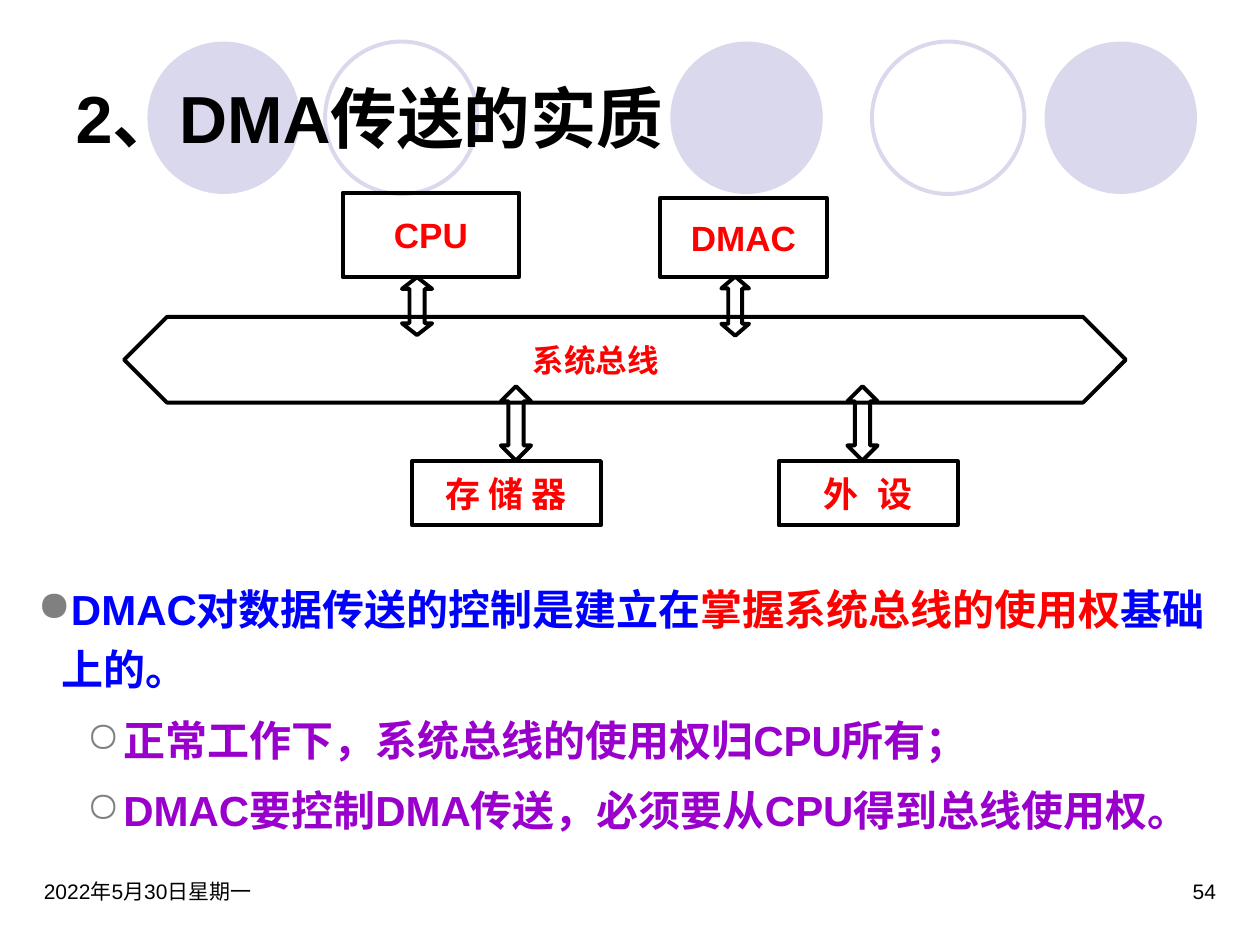
from lxml import etree
from pptx import Presentation
from pptx.dml.color import RGBColor
from pptx.enum.shapes import MSO_SHAPE as SHAPE
from pptx.enum.text import MSO_ANCHOR as ANCHOR, MSO_AUTO_SIZE as AUTO, PP_ALIGN as ALIGN
from pptx.oxml.ns import qn
from pptx.util import Inches, Pt

COLORS = {
    "black": "000000", "red": "FF0000", "blue": "0000FF",
    "purple": "9900CC", "lilac": "D9D8EC", "gray": "808080",
}


def rgb(name):
    return RGBColor.from_string(COLORS[name])


class Diagram:
    """Holds the shared style and the slide being drawn."""
    font = "Arial"
    line_width = Pt(2.25)

    def __init__(self, slide):
        self.s = slide

    def add_run(self, p, text, size, color, bold=True):
        r = p.add_run()
        r.text = text
        style = {"name": self.font, "size": Pt(size), "bold": bold}
        for key, value in style.items():
            setattr(r.font, key, value)
        r.font.color.rgb = rgb(color)
        return r

    def shape(self, kind, box, line="black", fill=None):
        sp = self.s.shapes.add_shape(kind, *map(Inches, box))
        sp.shadow.inherit = False
        if fill:
            sp.fill.solid()
            sp.fill.fore_color.rgb = rgb(fill)
        else:
            sp.fill.background()
        if line:
            sp.line.color.rgb = rgb(line)
            sp.line.width = self.line_width
        else:
            sp.line.fill.background()
        return sp

    def circle(self, left, filled):
        style = {"line": None, "fill": "lilac"} if filled else {"line": "lilac"}
        self.shape(SHAPE.OVAL, (left, 0.33, 1.21, 1.21), **style)

    def unit(self, text, box, tracking=0):
        """Adds a labelled box; tracking is in hundredths of a point."""
        tf = self.shape(SHAPE.RECTANGLE, box).text_frame
        tf.word_wrap = False
        tf.vertical_anchor = ANCHOR.MIDDLE
        p = tf.paragraphs[0]
        p.alignment = ALIGN.CENTER
        r = self.add_run(p, text, 20, "red")
        if tracking:
            r.font._element.set("spc", str(tracking))

    def arrow(self, kind, box, head):
        """Adds a double arrow turned a quarter; head is its length ratio."""
        sp = self.shape(kind, box)
        sp.rotation = 90
        sp.adjustments[0] = 0.5
        sp.adjustments[1] = head

    def title(self, text, box):
        sp = self.s.shapes.title
        sp.left, sp.top, sp.width, sp.height = map(Inches, box)
        tf = sp.text_frame
        tf.auto_size = AUTO.NONE
        tf.vertical_anchor = ANCHOR.MIDDLE
        p = tf.paragraphs[0]
        p.alignment = ALIGN.LEFT
        self.add_run(p, text, 38, "black")
        # Bring the title in front of the circles
        sp.element.getparent().append(sp.element)

    def textbox(self, box):
        tf = self.s.shapes.add_textbox(*map(Inches, box)).text_frame
        tf.word_wrap = True
        return tf

    def label(self, text, box, size, color, bold=False, align=ALIGN.LEFT):
        p = self.textbox(box).paragraphs[0]
        p.alignment = align
        self.add_run(p, text, size, color, bold)

    def bullets(self, items, box):
        """Each item is (level, runs), a run being (text, colour)."""
        marks = [("●", 0.19, 0.19), ("○", 0.68, 0.29)]
        tf = self.textbox(box)
        for i, (level, runs) in enumerate(items):
            p = tf.paragraphs[0] if i == 0 else tf.add_paragraph()
            mark, margin, hang = marks[level]
            pPr = p._p.get_or_add_pPr()
            pPr.set("marL", str(Inches(margin)))
            pPr.set("indent", str(-Inches(hang)))
            color = etree.SubElement(pPr, qn("a:buClr"))
            etree.SubElement(color, qn("a:srgbClr"), val=COLORS["gray"])
            etree.SubElement(pPr, qn("a:buChar"), char=mark)
            spacing = {"level": level, "line_spacing": 1.2,
                       "space_before": Pt(2.8 if i else 0), "space_after": Pt(2.8)}
            for key, value in spacing.items():
                setattr(p, key, value)
            for text, name in runs:
                self.add_run(p, text, 24, name)


def main():
    prs = Presentation()
    prs.slide_width, prs.slide_height = Inches(10), Inches(7.5)
    d = Diagram(prs.slides.add_slide(prs.slide_layouts[5]))

    for left, filled in [(5.32, True), (8.29, True), (1.17, True),
                         (6.92, False), (2.58, False)]:
        d.circle(left, filled)
    d.label("2022年5月30日星期一", (0.25, 6.92, 2.33, 0.5), 12, "black")
    d.label("54", (7.42, 6.92, 2.33, 0.5), 12, "black", align=ALIGN.RIGHT)
    d.title("2、DMA传送的实质", (0.5, 0.3, 9, 1.25))

    d.bullets([
        (0, [("DMAC对数据传送的控制是建立在", "blue"),
             ("掌握系统总线的使用权", "red"), ("基础上的。", "blue")]),
        (1, [("正常工作下，系统总线的使用权归CPU所有；", "purple")]),
        (1, [("DMAC要控制DMA传送，必须要从CPU得到总线使用权。", "purple")]),
    ], (0.2, 4.5, 9.65, 2.32))

    d.unit("CPU", (2.72, 1.53, 1.4, 0.67))
    d.unit("DMAC", (5.24, 1.57, 1.32, 0.63))
    d.unit("存 储 器", (3.27, 3.66, 1.5, 0.51))
    d.unit("外 设", (6.18, 3.66, 1.42, 0.51), tracking=300)

    d.arrow(SHAPE.UP_DOWN_ARROW, (4.62, -1.12, 0.68, 7.95), 2.34)
    for box, head in [((3.08, 2.31, 0.46, 0.24), 0.39),
                      ((5.6, 2.32, 0.47, 0.22), 0.43),
                      ((3.8, 3.24, 0.59, 0.24), 0.5),
                      ((6.55, 3.24, 0.59, 0.24), 0.5)]:
        d.arrow(SHAPE.LEFT_RIGHT_ARROW, box, head)
    d.label("系统总线", (4.13, 2.66, 1.42, 0.4), 18, "red", bold=True)

    prs.save("out.pptx")


if __name__ == "__main__":
    main()
